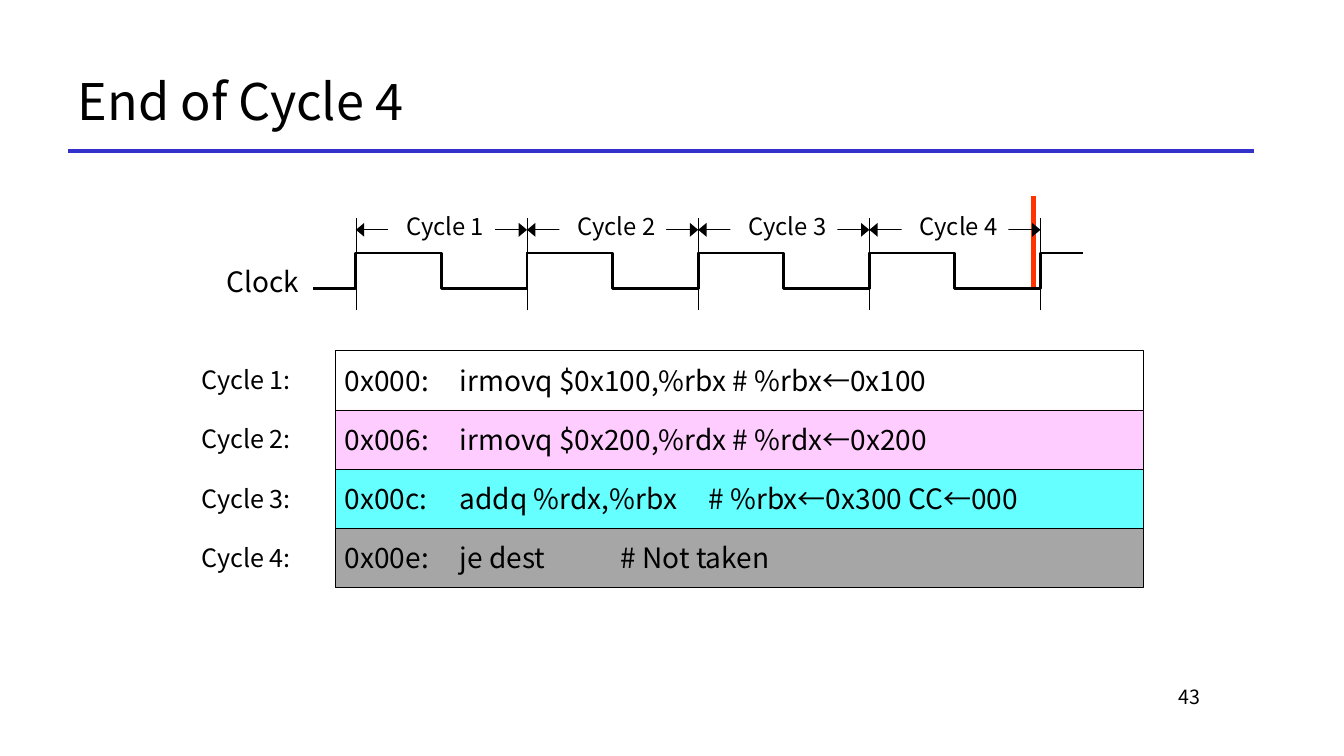
from lxml import etree
from pptx import Presentation
from pptx.dml.color import RGBColor
from pptx.enum.shapes import MSO_CONNECTOR, MSO_SHAPE
from pptx.enum.text import MSO_ANCHOR, PP_ALIGN
from pptx.oxml.ns import qn
from pptx.util import Inches, Pt

FONT = "Noto Sans CJK KR"
COLORS = {
    "black": "000000", "white": "FFFFFF", "rule": "3333CC", "marker": "FF3300",
    "pink": "FFCCFF", "cyan": "66FFFF", "gray": "A6A6A6",
}
HAIRLINE = 0.5

CYCLES = 4
CLOCK_LEFT, CLOCK_RIGHT = 3.53, 10.32
PERIOD = (CLOCK_RIGHT - CLOCK_LEFT) / CYCLES
HIGH, LOW = 2.51, 2.86

TABLE_LEFT, TABLE_TOP, TABLE_WIDTH = 3.33, 3.48, 8.01
ROW_HEIGHT = 2.35 / CYCLES
INSTRUCTIONS = [
    ("0x000:", "irmovq $0x100,%rbx # %rbx←0x100", 4.77, "white"),
    ("0x006:", "irmovq $0x200,%rdx # %rdx←0x200", 4.77, "pink"),
    ("0x00c:", "addq %rdx,%rbx     # %rbx←0x300 CC←000", 5.87, "cyan"),
    ("0x00e:", "je dest            # Not taken", 3.28, "gray"),
]


def rgb(name):
    return RGBColor.from_string(COLORS[name])


def format_text(p, size, align=PP_ALIGN.LEFT):
    p.alignment = align
    p.font.name = FONT
    p.font.size = Pt(size)
    p.font.color.rgb = rgb("black")


def add_label(s, text, x, y, w, h, size):
    """Add one line of text in a box without insets."""
    tf = s.shapes.add_textbox(Inches(x), Inches(y), Inches(w), Inches(h)).text_frame
    tf.word_wrap = True
    tf.margin_left = tf.margin_right = tf.margin_top = tf.margin_bottom = 0
    p = tf.paragraphs[0]
    p.text = text
    p.line_spacing = 0.9
    format_text(p, size)


def add_rect(s, x, y, w, h, fill, outlined=False):
    rect = s.shapes.add_shape(
        MSO_SHAPE.RECTANGLE, Inches(x), Inches(y), Inches(w), Inches(h))
    rect.shadow.inherit = False
    rect.fill.solid()
    rect.fill.fore_color.rgb = rgb(fill)
    if outlined:
        rect.line.color.rgb = rgb("black")
        rect.line.width = Pt(HAIRLINE)
    else:
        rect.line.fill.background()


def add_line(s, x1, y1, x2, y2, color="black", width=HAIRLINE, arrows=False):
    line = s.shapes.add_connector(
        MSO_CONNECTOR.STRAIGHT, Inches(x1), Inches(y1), Inches(x2), Inches(y2))
    line.line.color.rgb = rgb(color)
    line.line.width = Pt(width)
    if arrows:
        for end in ("a:headEnd", "a:tailEnd"):
            etree.SubElement(line.line._get_or_add_ln(), qn(end),
                             type="triangle", w="lg", len="med")
    etree.SubElement(line._element.spPr, qn("a:effectLst"))


def add_pulse(s, x):
    """Draw one clock pulse rising at x, with a quarter period on either side."""
    half, quarter = PERIOD / 2, PERIOD / 4
    points = [(x - quarter, LOW), (x, LOW), (x, HIGH), (x + half, HIGH),
              (x + half, LOW), (x + PERIOD, LOW), (x + PERIOD, HIGH),
              (x + PERIOD + quarter, HIGH)]
    start, *rest = [(Inches(px), Inches(py)) for px, py in points]
    builder = s.shapes.build_freeform(*start)
    builder.add_line_segments(rest, close=False)
    pulse = builder.convert_to_shape()
    pulse.shadow.inherit = False
    pulse.fill.background()
    pulse.line.color.rgb = rgb("black")
    pulse.line.width = Pt(2)


def add_title(s, text):
    title = s.shapes.title
    title.left, title.top = Inches(0.67), Inches(0.5)
    title.width, title.height = Inches(11.78), Inches(1)
    tf = title.text_frame
    tf.text = text
    tf.vertical_anchor = MSO_ANCHOR.MIDDLE
    format_text(tf.paragraphs[0], 36)
    add_line(s, 0.67, 1.5, 12.44, 1.5, "rule", 3)


def add_page_number(s, number):
    box = s.shapes.add_textbox(Inches(10.11), Inches(6.75), Inches(1.89), Inches(0.5))
    box.text_frame.word_wrap = True
    p = box.text_frame.paragraphs[0]
    p.text = number
    format_text(p, 14, PP_ALIGN.RIGHT)


def add_clock(s):
    add_line(s, 10.25, 1.94, 10.25, LOW, "marker", 3)
    add_label(s, "Clock", 2.25, 2.66, 0.76, 0.3, 20)
    edges = [CLOCK_LEFT + i * PERIOD for i in range(CYCLES + 1)]
    for number, x in enumerate(edges[:-1], 1):
        add_line(s, x, 2.28, x + PERIOD, 2.28, arrows=True)
        add_rect(s, x + 0.32, 2.04, 1.06, 0.42, "white")
        add_label(s, f"Cycle {number}", x + 0.5, 2.13, 0.8, 0.26, 17)
    for x in edges:
        add_line(s, x, 3.08, x, 2.16)
    for x in edges[:-1]:
        add_pulse(s, x)


def add_instructions(s):
    for i, (address, code, width, fill) in enumerate(INSTRUCTIONS):
        y = TABLE_TOP + i * ROW_HEIGHT
        add_rect(s, TABLE_LEFT, y, TABLE_WIDTH, ROW_HEIGHT, fill, outlined=True)
        add_label(s, f"Cycle {i + 1}:", 2, y + 0.17, 0.92, 0.28, 18)
        add_label(s, address, 3.42, y + 0.16, 0.88, 0.31, 20)
        add_label(s, code, 4.56, y + 0.16, width, 0.31, 20)


def main():
    prs = Presentation()
    prs.slide_width, prs.slide_height = Inches(13.33), Inches(7.5)
    s = prs.slides.add_slide(prs.slide_layouts[5])
    add_title(s, "End of Cycle 4")
    add_page_number(s, "43")
    add_clock(s)
    add_instructions(s)
    prs.save("out.pptx")


if __name__ == "__main__":
    main()
